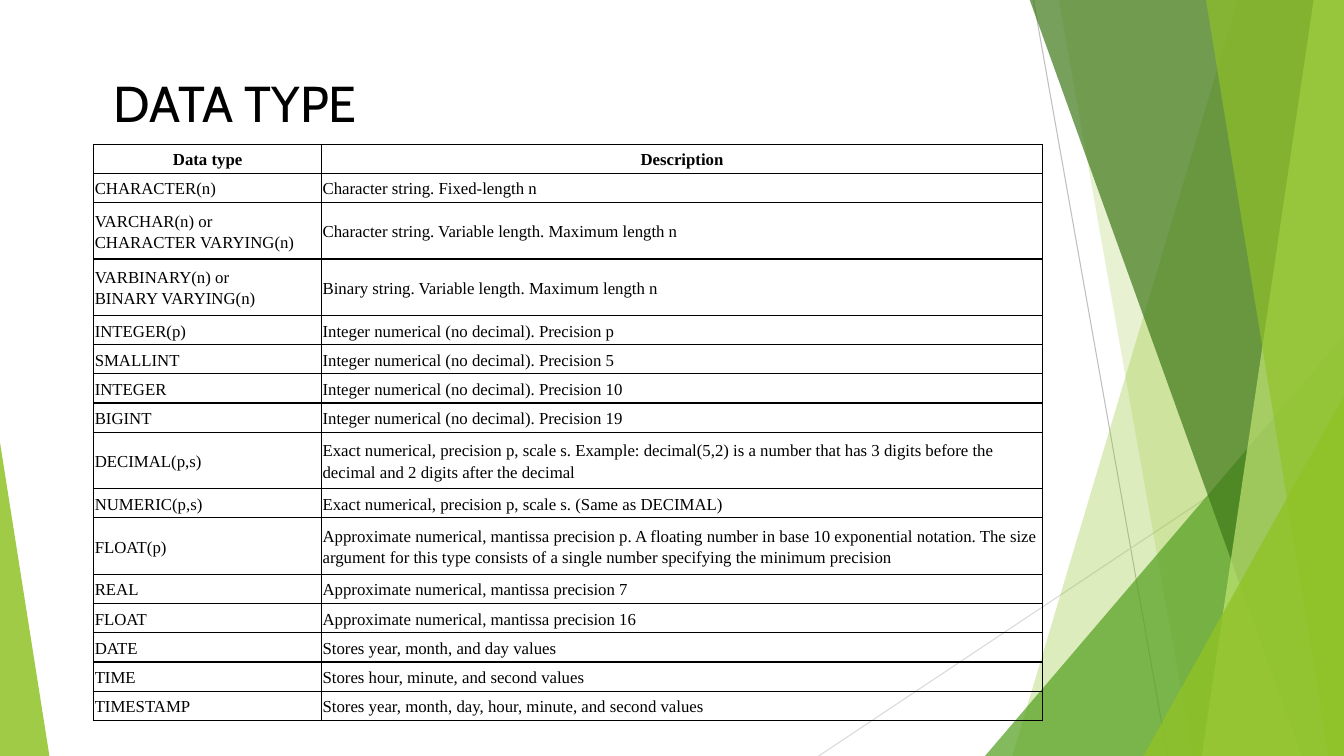
from copy import deepcopy
from typing import NamedTuple

from lxml import etree
from pptx import Presentation
from pptx.dml.color import RGBColor
from pptx.enum.shapes import MSO_CONNECTOR, MSO_SHAPE
from pptx.enum.text import MSO_ANCHOR, PP_ALIGN
from pptx.oxml.ns import qn
from pptx.util import Inches, Pt

STRAIGHT = MSO_CONNECTOR.STRAIGHT
TRIANGLE = MSO_SHAPE.ISOSCELES_TRIANGLE
TOP, MIDDLE = MSO_ANCHOR.TOP, MSO_ANCHOR.MIDDLE
LEFT, CENTER = PP_ALIGN.LEFT, PP_ALIGN.CENTER

COLORS = {
    "text": "000000",
    "line_dark": "BFBFBF",
    "line_light": "D9D9D9",
    "lime": "90C226",
    "green": "54A021",
    "forest": "3F7819",
    "pale": "C0E474",
}
WIDTH, HEIGHT = 13.33, 7.5
PANEL_TOP = -0.01
SINGLE_ROW, DOUBLE_ROW = 0.29, 0.56
COLUMN_WIDTHS = (2.26, 7.15)


class Ray(NamedTuple):
    x1: float
    y1: float
    x2: float
    y2: float
    color: str


class Panel(NamedTuple):
    """Band reaching from a slanted left edge to the right side of the slide."""
    top_x: float
    bottom_x: float
    color: str
    opacity: int


class Wedge(NamedTuple):
    """Triangle standing on the bottom of the slide."""
    left: float
    top: float
    width: float
    peak: int
    color: str
    opacity: int


class TypeRow(NamedTuple):
    name: str
    description: str
    height: float = SINGLE_ROW


RAYS = [
    Ray(10.25, 0, 11.58, HEIGHT, "line_dark"),
    Ray(WIDTH, 4.03, 8.12, HEIGHT, "line_light"),
]
# Back to front
FACETS = [
    Panel(12.28, 10.04, "lime", 30),
    Panel(10.5, 11.83, "lime", 20),
    Wedge(9.77, 3.33, 3.56, 1, "green", 72),
    Panel(10.21, 12.91, "forest", 70),
    Panel(13.03, 11.92, "pale", 70),
    Panel(11.96, 13.18, "lime", 65),
    Wedge(11.34, 3.93, 1.99, 1, "lime", 80),
    Wedge(0, 4.39, 0.49, 0, "lime", 85),
]
TYPE_ROWS = [
    TypeRow("Data type", "Description"),
    TypeRow("CHARACTER(n)", "Character string. Fixed-length n"),
    TypeRow("VARCHAR(n) or\vCHARACTER VARYING(n)",
            "Character string. Variable length. Maximum length n", DOUBLE_ROW),
    TypeRow("VARBINARY(n) or\vBINARY VARYING(n)",
            "Binary string. Variable length. Maximum length n", DOUBLE_ROW),
    TypeRow("INTEGER(p)", "Integer numerical (no decimal). Precision p"),
    TypeRow("SMALLINT", "Integer numerical (no decimal). Precision 5"),
    TypeRow("INTEGER", "Integer numerical (no decimal). Precision 10"),
    TypeRow("BIGINT", "Integer numerical (no decimal). Precision 19"),
    TypeRow("DECIMAL(p,s)",
            "Exact numerical, precision p, scale s. Example: decimal(5,2) is a number "
            "that has 3 digits before the decimal and 2 digits after the decimal", DOUBLE_ROW),
    TypeRow("NUMERIC(p,s)", "Exact numerical, precision p, scale s. (Same as DECIMAL)"),
    TypeRow("FLOAT(p)",
            "Approximate numerical, mantissa precision p. A floating number in base 10 "
            "exponential notation. The size argument for this type consists of a single "
            "number specifying the minimum precision", DOUBLE_ROW),
    TypeRow("REAL", "Approximate numerical, mantissa precision 7"),
    TypeRow("FLOAT", "Approximate numerical, mantissa precision 16"),
    TypeRow("DATE", "Stores year, month, and day values"),
    TypeRow("TIME", "Stores hour, minute, and second values"),
    TypeRow("TIMESTAMP", "Stores year, month, day, hour, minute, and second values"),
]


def rgb(name: str) -> RGBColor:
    return RGBColor.from_string(COLORS[name])


def format_runs(paragraph, font_name: str, size: int, bold: bool = False) -> None:
    for run in paragraph.runs:
        run.font.name = font_name
        run.font.size = Pt(size)
        run.font.bold = bold
        run.font.color.rgb = rgb("text")
    # Line breaks take the size of the text around them
    for line_break in paragraph._p.findall(qn("a:br")):
        line_break.append(deepcopy(paragraph.runs[0]._r.rPr))


def draw_ray(slide, ray: Ray) -> None:
    connector = slide.shapes.add_connector(
        STRAIGHT, Inches(ray.x1), Inches(ray.y1), Inches(ray.x2), Inches(ray.y2))
    connector.line.color.rgb = rgb(ray.color)
    connector.line.width = Pt(0.75)
    etree.SubElement(connector._element.spPr, qn("a:effectLst"))


def draw_facet(slide, facet: Panel | Wedge) -> None:
    if isinstance(facet, Panel):
        outline = slide.shapes.build_freeform(Inches(facet.top_x), Inches(PANEL_TOP))
        outline.add_line_segments([
            (Inches(WIDTH), Inches(PANEL_TOP)),
            (Inches(WIDTH), Inches(HEIGHT)),
            (Inches(facet.bottom_x), Inches(HEIGHT)),
        ], close=True)
        shape = outline.convert_to_shape()
    else:
        shape = slide.shapes.add_shape(
            TRIANGLE, Inches(facet.left), Inches(facet.top),
            Inches(facet.width), Inches(HEIGHT - facet.top))
        shape.adjustments[0] = facet.peak
    shape.shadow.inherit = False
    shape.line.fill.background()
    shape.fill.solid()
    shape.fill.fore_color.rgb = rgb(facet.color)
    color = shape._element.spPr.find(qn("a:solidFill"))[0]
    etree.SubElement(color, qn("a:alpha"), val=str(facet.opacity * 1000))


def draw_title(slide, title: str) -> None:
    heading = slide.shapes.add_textbox(Inches(1.03), Inches(0.67), Inches(9.11), Inches(0.79))
    frame = heading.text_frame
    frame.word_wrap = True
    frame.vertical_anchor = TOP
    frame.text = title
    format_runs(frame.paragraphs[0], "Cabin", 36)


def add_borders(cell) -> None:
    properties = cell._tc.get_or_add_tcPr()
    for position, side in enumerate(("a:lnL", "a:lnR", "a:lnT", "a:lnB")):
        border = etree.Element(qn(side), w=str(Pt(1)))
        fill = etree.SubElement(border, qn("a:solidFill"))
        etree.SubElement(fill, qn("a:srgbClr"), val=COLORS["text"])
        properties.insert(position, border)


def fill_cell(cell, text: str, is_header: bool) -> None:
    cell.fill.background()
    cell.vertical_anchor = MIDDLE
    cell.margin_left = cell.margin_right = Inches(0.01)
    cell.margin_top = cell.margin_bottom = Inches(0.01)
    paragraph = cell.text_frame.paragraphs[0]
    paragraph.text = text
    paragraph.alignment = CENTER if is_header else LEFT
    paragraph.line_spacing = 1.15
    format_runs(paragraph, "Times New Roman", 12, is_header)
    add_borders(cell)


def draw_type_table(slide, rows: list[TypeRow]) -> None:
    table = slide.shapes.add_table(
        len(rows), len(COLUMN_WIDTHS), Inches(0.93), Inches(1.43),
        Inches(sum(COLUMN_WIDTHS)), Inches(sum(row.height for row in rows))).table
    table.first_row = table.horz_banding = False
    for column, width in zip(table.columns, COLUMN_WIDTHS):
        column.width = Inches(width)
    for index, row in enumerate(rows):
        table.rows[index].height = Inches(row.height)
        for column, text in enumerate((row.name, row.description)):
            fill_cell(table.cell(index, column), text, index == 0)


def main() -> None:
    deck = Presentation()
    deck.slide_width, deck.slide_height = Inches(WIDTH), Inches(HEIGHT)
    slide = deck.slides.add_slide(deck.slide_layouts[6])
    # Background decoration
    for ray in RAYS:
        draw_ray(slide, ray)
    for facet in FACETS:
        draw_facet(slide, facet)
    # Content
    draw_title(slide, "DATA TYPE")
    draw_type_table(slide, TYPE_ROWS)
    deck.save("out.pptx")


if __name__ == "__main__":
    main()
